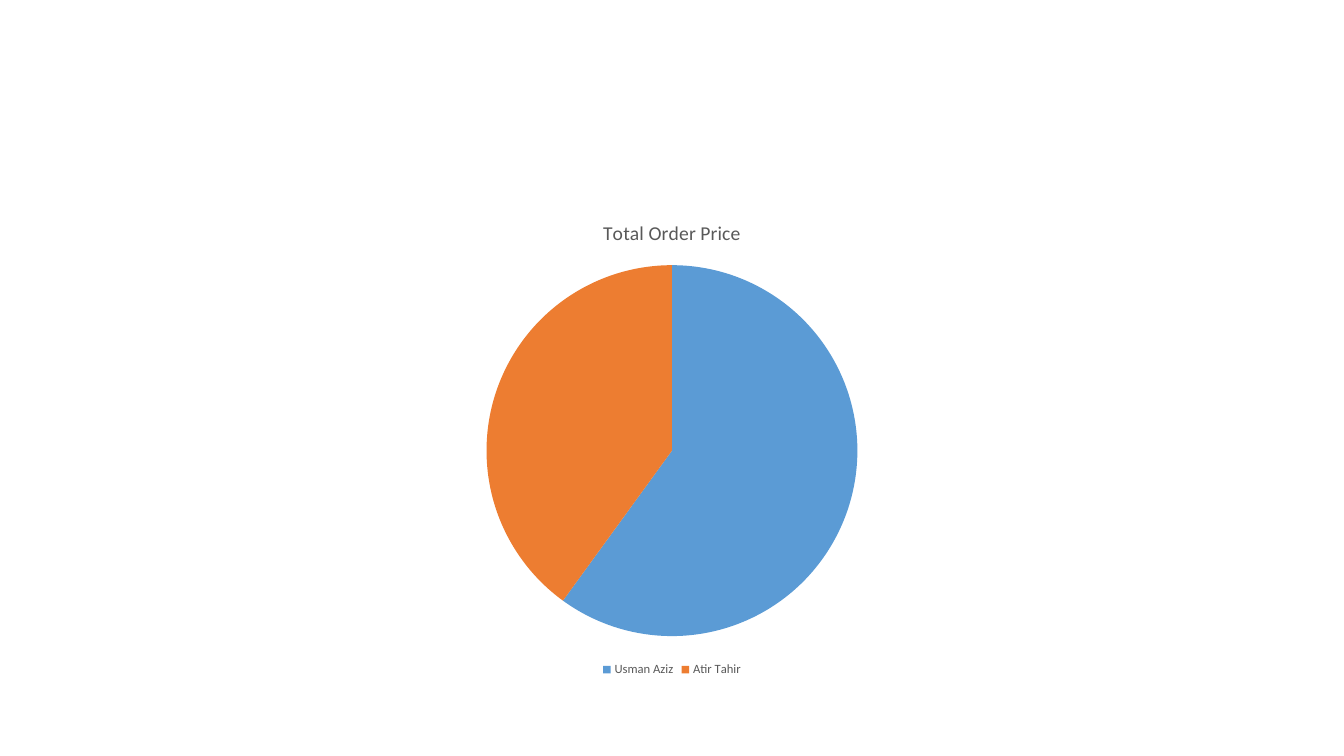
import pptx
import pptx.chart.data
import pptx.dml.color
import pptx.enum.chart
import pptx.oxml
import pptx.oxml.ns
import pptx.util
from dataclasses import dataclass

Cm = pptx.util.Cm
Pt = pptx.util.Pt
RGB = pptx.dml.color.RGBColor.from_string


@dataclass(frozen=True)
class Theme:
    font: str = "Calibri"
    background: str = "FFFFFF"
    text: str = "595959"
    base_text: str = "000000"
    slices: tuple = ("5B9BD5", "ED7D31")
    base_size: int = 10
    title_size: int = 14
    legend_size: int = 9


THEME = Theme()
PLOT_AREA = {"x": 0.34, "y": 0.13, "w": 0.32, "h": 0.78}
ORDER_SHARES = {"Usman Aziz": 60, "Atir Tahir": 40}


def style_font(font, size, color):
    for name, value in {"name": THEME.font, "size": Pt(size), "bold": False}.items():
        setattr(font, name, value)
    font.color.rgb = RGB(color)


def place_plot(chart, area):
    ns = pptx.oxml.ns.nsdecls("c")
    edges = "".join(f'<c:{k}Mode val="edge"/>' for k in "xy")
    sizes = "".join(f'<c:{k} val="{v}"/>' for k, v in area.items())
    layout = pptx.oxml.parse_xml(
        f'<c:layout {ns}><c:manualLayout><c:layoutTarget val="inner"/>'
        f"{edges}{sizes}</c:manualLayout></c:layout>"
    )
    plot_area = chart._chartSpace.chart.plotArea
    for old in plot_area.findall(pptx.oxml.ns.qn("c:layout")):
        plot_area.remove(old)
    plot_area.insert(0, layout)


def add_order_pie(s, left, top, width, height):
    data = pptx.chart.data.CategoryChartData()
    data.categories = list(ORDER_SHARES)
    data.add_series("Series 1", list(ORDER_SHARES.values()))
    pie = pptx.enum.chart.XL_CHART_TYPE.PIE
    chart = s.shapes.add_chart(pie, left, top, width, height, data).chart
    style_font(chart.font, THEME.base_size, THEME.base_text)

    chart.has_title = True
    p = chart.chart_title.text_frame.paragraphs[0]
    r = p.add_run()
    r.text = "Total Order Price"
    style_font(r.font, THEME.title_size, THEME.text)
    chart.chart_title.include_in_layout = False

    chart.has_legend = True
    chart.legend.position = pptx.enum.chart.XL_LEGEND_POSITION.BOTTOM
    chart.legend.include_in_layout = False
    style_font(chart.legend.font, THEME.legend_size, THEME.text)

    plot = chart.plots[0]
    plot.vary_by_categories = True
    for i, color in enumerate(THEME.slices):
        fmt = plot.series[0].points[i].format
        fmt.fill.solid()
        fmt.fill.fore_color.rgb = RGB(color)
        fmt.line.fill.background()
    place_plot(chart, PLOT_AREA)


def main():
    prs = pptx.Presentation()
    prs.slide_width, prs.slide_height = Cm(33.87), Cm(19.05)
    s = prs.slides.add_slide(prs.slide_layouts[6])
    s.background.fill.solid()
    s.background.fill.fore_color.rgb = RGB(THEME.background)
    add_order_pie(s, Cm(2.33), Cm(5.07), Cm(29.21), Cm(12.09))
    prs.save("out.pptx")


if __name__ == "__main__":
    main()
